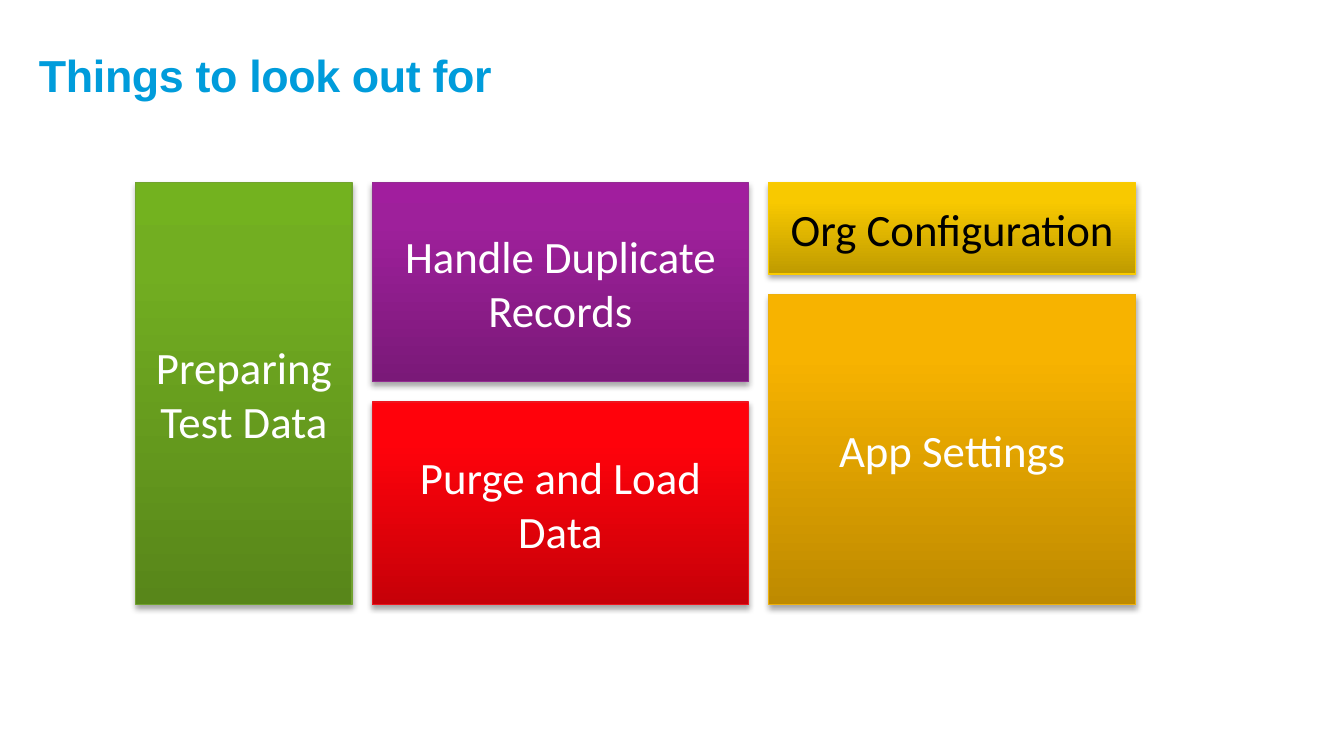
from lxml import etree
from pptx import Presentation
from pptx import util as u
from pptx.dml.color import RGBColor
from pptx.enum import shapes, text
from pptx.oxml.ns import qn

BLUE = RGBColor(0x00, 0x9C, 0xDB)
WHITE = RGBColor(0xFF, 0xFF, 0xFF)
BLACK = RGBColor(0x00, 0x00, 0x00)
# Each palette: gradient at 0, 80 and 100 percent from the bottom, then outline
GREEN, PURPLE, RED, YELLOW, ORANGE = [
    [RGBColor.from_string(code) for code in codes.split()]
    for codes in (
        "58861A 72AE21 73B21F 71A22F",
        "7A1978 9E209B A11E9E 932C91",
        "C60008 FF020B FF030D ED161E",
        "BF9B00 F8C900 F9CA00 FACB00",
        "BE8A00 F7B300 F8B400 EEB00B",
    )
]

LEFT, TOP, BOTTOM, GAP = 1.01, 1.36, 4.5, 0.15
# Column width, then its tiles from top to bottom: (height, label, palette, text colour);
# a height of None fills the rest of the column
COLUMNS = [
    (1.61, [(None, "Preparing Test Data", GREEN, WHITE)]),
    (2.8, [(1.48, "Handle Duplicate Records", PURPLE, WHITE),
           (None, "Purge and Load Data", RED, WHITE)]),
    (2.73, [(0.68, "Org Configuration", YELLOW, BLACK),
            (None, "App Settings", ORANGE, WHITE)]),
]


def add_child(parent, tag, **attributes):
    return etree.SubElement(parent, qn(tag), {k: str(v) for k, v in attributes.items()})


def write(frame, content, font, color, bold=False, align=None, spacing=None):
    para = frame.paragraphs[0]
    para.alignment = align
    para.line_spacing = spacing
    span = para.add_run()
    span.text = content
    span.font.name = font
    span.font.size = u.Pt(24)
    span.font.bold = bold
    span.font.color.rgb = color
    return span


deck = Presentation()
deck.slide_width = u.Inches(10)
deck.slide_height = deck.slide_width * 9 // 16
page = deck.slides.add_slide(deck.slide_layouts[5])

title = page.shapes.title
title.left, title.top = u.Inches(0.29), 0
title.width, title.height = u.Inches(9.41), u.Inches(0.75)
frame = title.text_frame
frame.margin_left = frame.margin_right = frame.margin_top = frame.margin_bottom = 0
frame.vertical_anchor = text.MSO_ANCHOR.BOTTOM
frame.auto_size = text.MSO_AUTO_SIZE.NONE
span = write(frame, "Things to look out for", "Arial", BLUE, bold=True,
             align=text.PP_ALIGN.LEFT, spacing=0.8)
span.font._element.set("spc", "-20")

left = LEFT
for width, tiles in COLUMNS:
    top = TOP
    for height, label, palette, text_color in tiles:
        height = height or BOTTOM - top
        box = page.shapes.add_shape(
            shapes.MSO_SHAPE.RECTANGLE,
            u.Inches(left), u.Inches(top), u.Inches(width), u.Inches(height))
        *gradient, outline = palette

        box.fill.gradient()
        box.fill.gradient_angle = 90
        stops = box._element.spPr.find(".//" + qn("a:gsLst"))
        for stop in list(stops):
            stops.remove(stop)
        for percent, color in zip((0, 80, 100), gradient):
            stop = add_child(stops, "a:gs", pos=percent * 1000)
            add_child(stop, "a:srgbClr", val=color)

        box.line.color.rgb = outline
        box.line.width = u.Pt(0.75)

        box.shadow.inherit = False
        effects = box._element.spPr.find(qn("a:effectLst"))
        shadow = add_child(effects, "a:outerShdw", blurRad=u.Pt(3.1), dist=u.Pt(1.8),
                           dir=90 * 60000, rotWithShape=0)
        add_child(add_child(shadow, "a:srgbClr", val=BLACK), "a:alpha", val=35000)

        box.text_frame.word_wrap = True
        box.text_frame.vertical_anchor = text.MSO_ANCHOR.MIDDLE
        write(box.text_frame, label, "Calibri", text_color, align=text.PP_ALIGN.CENTER)
        top += height + GAP
    left += width + GAP

deck.save("out.pptx")
